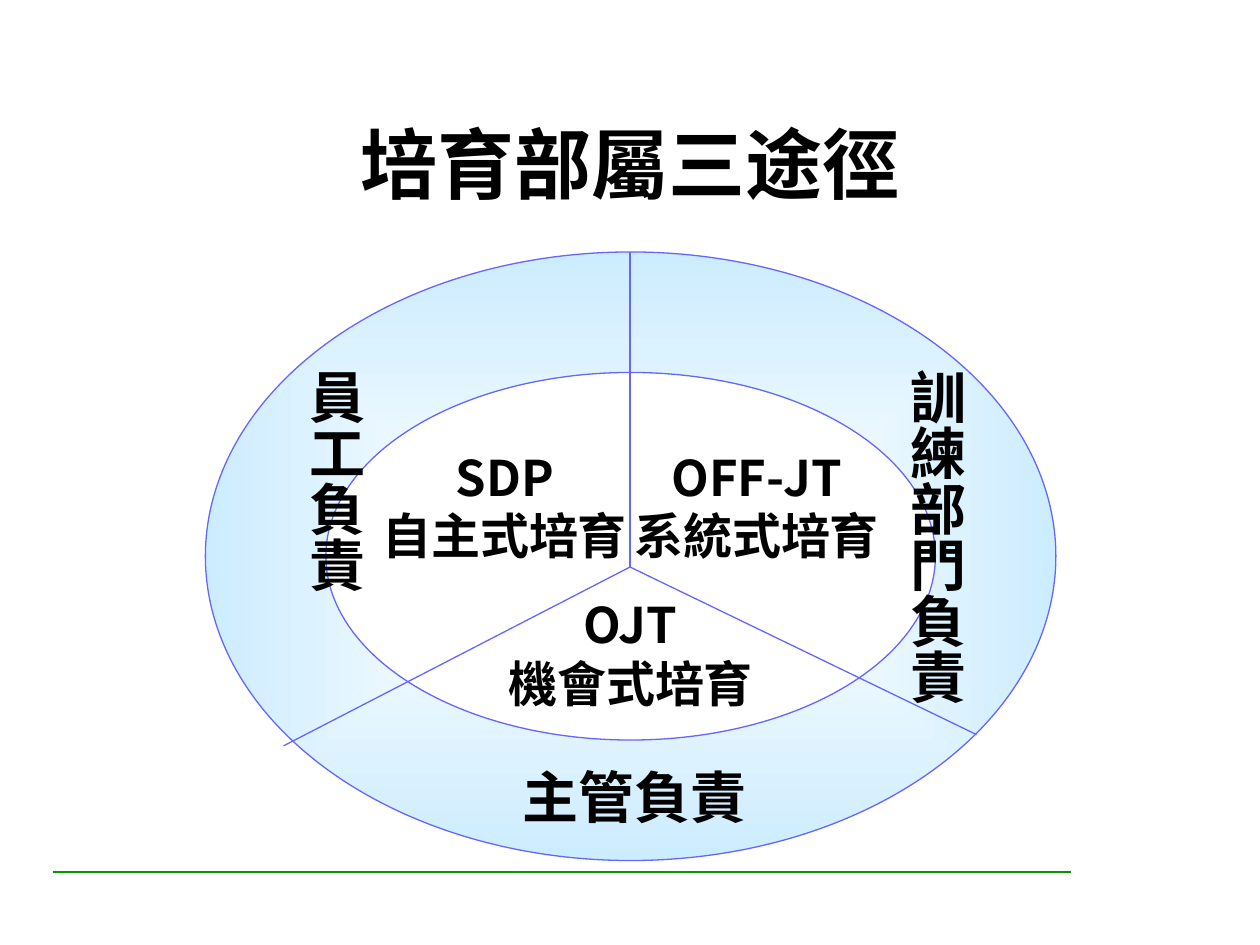
from lxml import etree
from pptx import Presentation
from pptx.dml.color import RGBColor
from pptx.enum.shapes import MSO_CONNECTOR, MSO_SHAPE
from pptx.enum.text import MSO_ANCHOR, MSO_AUTO_SIZE, PP_ALIGN
from pptx.oxml import parse_xml
from pptx.oxml.ns import nsdecls, qn
from pptx.util import Inches, Pt

STRAIGHT = MSO_CONNECTOR.STRAIGHT
DONUT = MSO_SHAPE.DONUT
MIDDLE = MSO_ANCHOR.MIDDLE
CENTER = PP_ALIGN.CENTER
NO_FIT = MSO_AUTO_SIZE.NONE

FONT = "Noto Sans CJK SC"
COLORS = {"text": "000000", "rule": "009900", "edge": "6666FF",
          "core": "FFFFFF", "rim": "CCECFF"}
HUES = {name: RGBColor.from_string(code) for name, code in COLORS.items()}


def write(frame, text, size):
    frame.text = text
    frame.word_wrap = True
    frame.auto_size = NO_FIT
    for para in frame.paragraphs:
        para.alignment = CENTER
        for run in para.runs:
            font = run.font
            font.name, font.size, font.bold = FONT, Pt(size), True
            font.color.rgb = HUES["text"]
            east = etree.SubElement(run._r.get_or_add_rPr(), qn("a:ea"))
            east.set("typeface", FONT)


def draw_line(shapes, start, end, color, width):
    ends = [Inches(n) for n in (*start, *end)]
    line = shapes.add_connector(STRAIGHT, *ends)
    line.line.color.rgb = HUES[color]
    line.line.width = Pt(width)
    etree.SubElement(line._element.spPr, qn("a:effectLst"))


deck = Presentation()
deck.slide_width, deck.slide_height = Inches(10), Inches(7.5)
slide = deck.slides.add_slide(deck.slide_layouts[5])
draw_line(slide.shapes, (0.42, 6.92), (8.5, 6.92), "rule", 1.5)

# Title
title = slide.shapes.title
title.left, title.top = Inches(0.81), Inches(0.73)
title.width, title.height = Inches(8.38), Inches(1.13)
write(title.text_frame, "培育部屬三途徑", 44)
title.text_frame.vertical_anchor = MIDDLE

# Ring, shaded from its centre outwards
wheel = slide.shapes.add_group_shape().shapes
ring = wheel.add_shape(DONUT, Inches(1.63), Inches(2), Inches(6.75), Inches(4.83))
ring.adjustments[0] = 0.198
ring.shadow.inherit = False
ring.line.color.rgb = HUES["edge"]
ring.line.width = Pt(0.75)
ring.fill.gradient()
for stop, name in zip(ring.fill.gradient_stops, ("core", "rim")):
    stop.color.rgb = HUES[name]
shade = ring._element.spPr.find(qn("a:gradFill"))
shade.replace(shade.find(qn("a:lin")), parse_xml(
    f'<a:path {nsdecls("a")} path="rect">'
    '<a:fillToRect l="50000" t="50000" r="50000" b="50000"/></a:path>'))

# Spokes
for end in ((5, 2), (7.75, 5.83), (2.25, 5.92)):
    draw_line(wheel, (5, 4.5), end, "edge", 0.75)

# Labels: text, left, top, width, height, size, vertical
labels = [
    ("OJT\n機會式培育", 3.92, 4.67, 2.17, 1.04, 28, False),
    ("SDP\n自主式培育", 2.92, 3.5, 2.17, 1.04, 28, False),
    ("OFF-JT\n系統式培育", 4.92, 3.5, 2.17, 1.04, 28, False),
    ("主管負責", 3.75, 6, 2.58, 0.64, 32, False),
    ("訓練部門負責", 7.02, 2.83, 0.73, 2.92, 32, True),
    ("員工負責", 2.25, 2.83, 0.73, 2.92, 32, True),
]
for text, left, top, width, height, size, upright in labels:
    box = wheel.add_textbox(*[Inches(n) for n in (left, top, width, height)])
    frame = box.text_frame
    write(frame, text, size)
    if upright:
        frame._txBody.bodyPr.set("vert", "eaVert")
        frame.margin_left = frame.margin_right = Inches(0.05)
        frame.margin_top = frame.margin_bottom = Inches(0.1)

deck.save("out.pptx")
